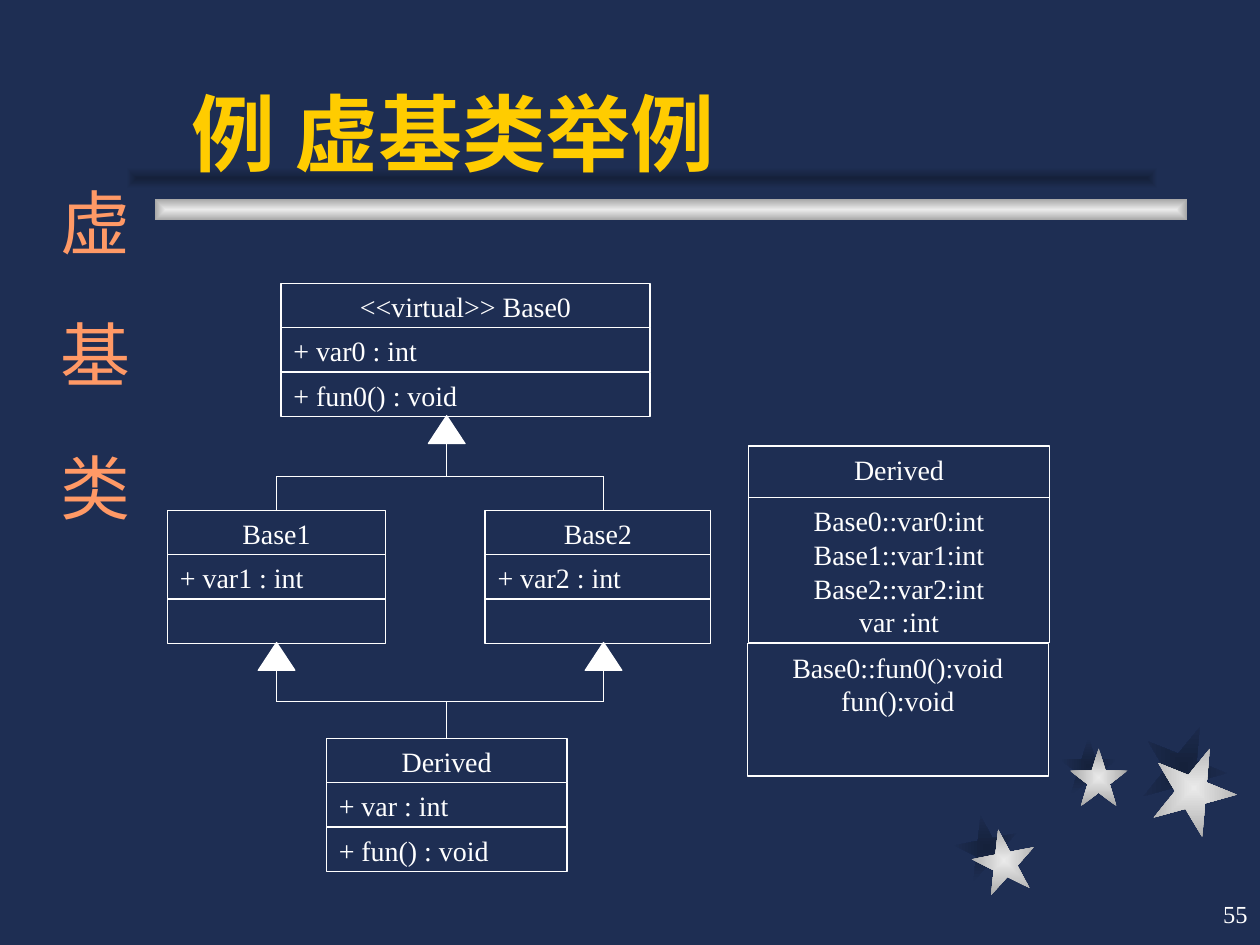
from lxml.etree import SubElement
from pptx import Presentation
from pptx.dml.color import RGBColor
from pptx.enum.shapes import MSO_CONNECTOR, MSO_SHAPE
from pptx.enum.text import MSO_ANCHOR, PP_ALIGN
from pptx.oxml.ns import qn
from pptx.util import Inches, Pt

NAVY = RGBColor(0x1E, 0x2E, 0x53)
SHADE = RGBColor(0x15, 0x21, 0x3B)
SILVER = RGBColor(0xEA, 0xEA, 0xEA)
GREY = RGBColor(0xA7, 0xA7, 0xA7)
WHITE = RGBColor(0xFF, 0xFF, 0xFF)
GOLD = RGBColor(0xFF, 0xCC, 0x00)
CORAL = RGBColor(0xFF, 0x99, 0x66)
ROW = 3.52


def write(tf, text, size=16, font="Times New Roman", color=WHITE, bold=False,
          align=PP_ALIGN.LEFT, anchor=MSO_ANCHOR.TOP):
    tf.word_wrap = True
    tf.vertical_anchor = anchor
    for i, line in enumerate(text.split("\n")):
        p = tf.add_paragraph() if i else tf.paragraphs[0]
        p.alignment = align
        r = p.add_run()
        r.text = line
        r.font.size, r.font.name, r.font.bold = Pt(size), font, bold
        r.font.color.rgb = color


class Board:
    """Places elements on a slide with a grid of 100 columns by 75 rows."""

    def __init__(self, prs):
        self.s = prs.slides.add_slide(prs.slide_layouts[6])
        self.s.background.fill.solid()
        self.s.background.fill.fore_color.rgb = NAVY
        self.unit = prs.slide_width / 100

    def grid(self, *cells):
        return [round(c * self.unit) for c in cells]

    def shape(self, kind, x, y, w, h):
        sp = self.s.shapes.add_shape(kind, *self.grid(x, y, w, h))
        sp.shadow.inherit = False
        return sp

    def glow(self, kind, x, y, w, h, colors, rotation=0):
        sp = self.shape(kind, x, y, w, h)
        sp.rotation = rotation
        sp.line.fill.background()
        sp.fill.gradient()
        for stop, color in zip(sp.fill.gradient_stops, colors):
            stop.color.rgb = color
        grad = sp._element.spPr.find(qn("a:gradFill"))
        grad.remove(grad.find(qn("a:lin")))
        center = SubElement(grad, qn("a:path"), {"path": "shape"})
        SubElement(center, qn("a:fillToRect"), dict.fromkeys("ltrb", "50000"))

    def text(self, x, y, w, h, text, **style):
        tf = self.s.shapes.add_textbox(*self.grid(x, y, w, h)).text_frame
        write(tf, text, **style)
        return tf

    def vertical(self, x, y, w, h, text, indent, gap, **style):
        tf = self.text(x, y, w, h, text, **style)
        tf._txBody.bodyPr.set("vert", "eaVert")
        p = tf.paragraphs[0]
        p._p.get_or_add_pPr().set("marL", str(Inches(indent)))
        p.runs[0].font._element.set("spc", str(gap * 100))

    def compartment(self, x, y, w, h, text, align):
        sp = self.shape(MSO_SHAPE.RECTANGLE, x, y, w, h)
        sp.fill.background()
        sp.line.color.rgb, sp.line.width = WHITE, Pt(0.75)
        if text:
            write(sp.text_frame, text, align=align)
        return sp

    def uml(self, x, y, w, name, *members):
        head = self.compartment(x, y, w, ROW, name, PP_ALIGN.CENTER)
        for i, member in enumerate(members, 1):
            self.compartment(x, y + i * ROW, w, ROW, member, PP_ALIGN.LEFT)
        return head

    def arrowhead(self, x, y):
        sp = self.shape(MSO_SHAPE.ISOSCELES_TRIANGLE, x - 1.45, y, 2.9, 2.2)
        sp.fill.solid()
        sp.fill.fore_color.rgb = WHITE
        sp.line.color.rgb, sp.line.width = WHITE, Pt(0.75)

    def line(self, x1, y1, x2, y2, target=None):
        c = self.s.shapes.add_connector(MSO_CONNECTOR.STRAIGHT,
                                        *self.grid(x1, y1, x2, y2))
        c.line.color.rgb, c.line.width = WHITE, Pt(0.75)
        SubElement(c._element.spPr, qn("a:effectLst"))
        if target is not None:
            c.end_connect(target, 0)


def main():
    prs = Presentation()
    prs.slide_width, prs.slide_height = Inches(10), Inches(7.5)
    b = Board(prs)

    dark, light = (SHADE, NAVY), (SILVER, GREY)
    stars = [((75.8, 64.7), (77.2, 65.8), 5, 349),
             ((84.1, 58.5), (84.9, 59.4), 4.6, 0),
             ((90.6, 57.5), (91.4, 59.2), 6.7, 22)]
    for i, colors in enumerate((dark, light)):
        for star in stars:
            x, y = star[i]
            size, rotation = star[2:]
            b.glow(MSO_SHAPE.STAR_5_POINT, x, y, size, size, colors, rotation)
    for x, y, colors in ((12.3, 15.8, light), (10, 13.3, dark)):
        b.glow(MSO_SHAPE.RECTANGLE, x, y, 81.9, 1.7, colors)

    b.text(79.2, 70, 20.8, 5, "55", size=14, align=PP_ALIGN.RIGHT,
           anchor=MSO_ANCHOR.MIDDLE)
    b.text(14.2, 2.5, 78.3, 12.5, "例 虚基类举例", size=48, font="Arial",
           color=GOLD, bold=True, anchor=MSO_ANCHOR.BOTTOM)
    b.vertical(2.5, 8.3, 8.7, 63.3, "虚基类", indent=0.56, gap=36,
               size=40, color=CORAL)

    members = [
        (59.4, 35.4, 4.1, "Derived"),
        (59.4, 39.5, 11.5, "Base0::var0:int\nBase1::var1:int\n"
                           "Base2::var2:int\nvar :int"),
        (59.3, 51.1, 10.5, "Base0::fun0():void\nfun():void")]
    for x, y, h, text in members:
        b.compartment(x, y, 23.9, h, text, PP_ALIGN.CENTER)

    b.uml(22.3, 22.5, 29.3, "<<virtual>> Base0", "+ var0 : int", "+ fun0() : void")
    base1 = b.uml(13.3, 40.5, 17.3, "Base1", "+ var1 : int", "")
    b.uml(38.5, 40.5, 17.9, "Base2", "+ var2 : int", "")
    derived = b.uml(25.9, 58.6, 19.1, "Derived", "+ var : int", "+ fun() : void")

    left, trunk, right = 21.95, 35.45, 47.9
    upper, lower = 37.8, 55.7
    b.arrowhead(trunk, 33)
    b.line(trunk, 35.2, trunk, upper)
    b.line(trunk, lower, trunk, 58.6, derived)
    for y in (upper, lower):
        b.line(left, y, right, y)
    for x, target in ((left, base1), (right, None)):
        b.arrowhead(x, 51)
        b.line(x, 53.2, x, lower)
        b.line(x, upper, x, 40.5, target)

    prs.save("out.pptx")


if __name__ == "__main__":
    main()
